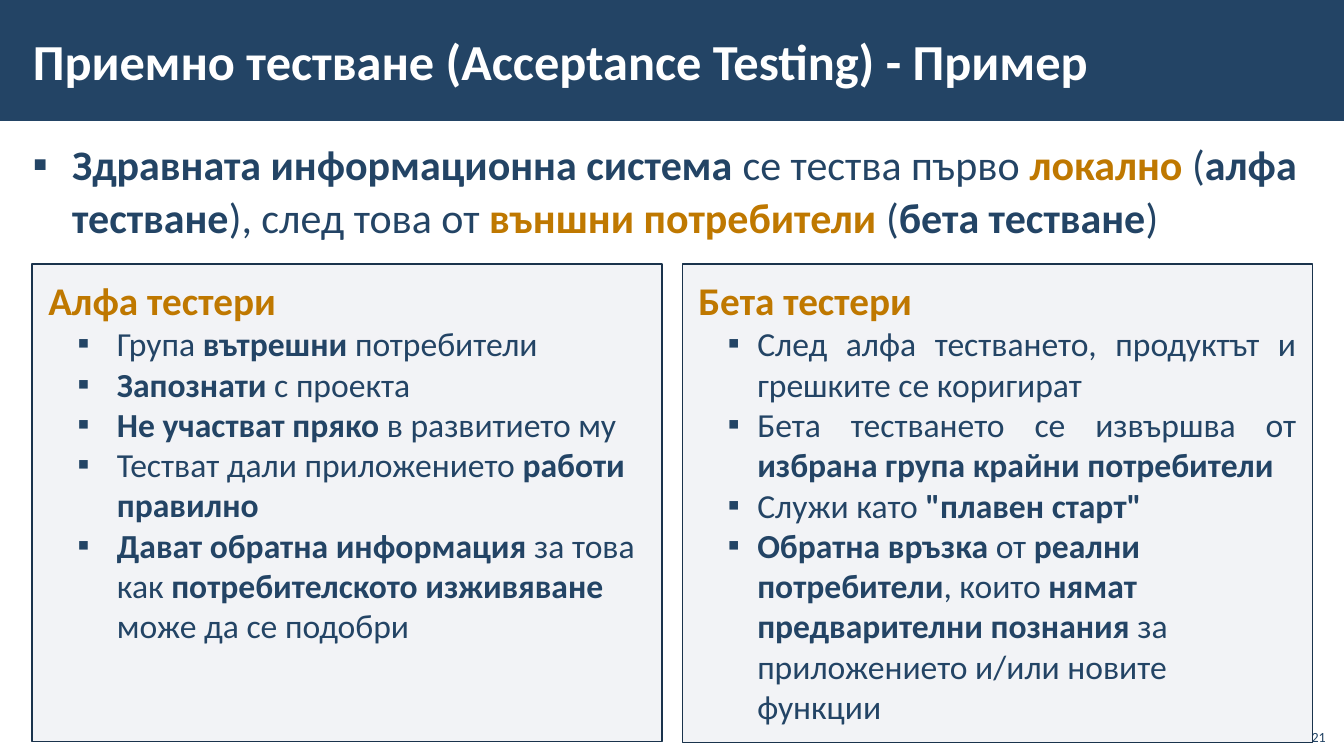
from dataclasses import dataclass

from lxml import etree
from pptx import Presentation
from pptx.dml.color import RGBColor
from pptx.enum import shapes, text
from pptx.oxml import ns
from pptx.util import Pt

COLORS = {
    "navy": "234465",
    "gold": "BF7800",
    "white": "FFFFFF",
    "panel": "ADB4C3",
    "edge": "1A334C",
}
FONT = "Calibri"
# Style marks: "*" toggles bold, "_" toggles bold gold.
MARKS = {"*": "navy", "_": "gold"}


@dataclass
class Panel:
    left: float
    height: float
    head: str
    items: list[str]
    indent: float
    hang: float
    level: int = 0
    justified: int = 0


PANELS = [
    Panel(23, 341.3, "Алфа тестери", [
        "Група *вътрешни* потребители",
        "*Запознати *с проекта",
        "*Не участват пряко *в развитието му",
        "Тестват дали приложението *работи правилно*",
        "*Дават обратна информация *за това как "
        "*потребителското изживяване *може да се подобри",
    ], indent=49, hang=28, level=1),
    Panel(487.4, 342, "Бета тестери", [
        "След алфа тестването, продуктът и грешките се коригират",
        "Бета тестването се извършва от *избрана група крайни потребители*",
        'Служи като *"плавен старт"*',
        "*Обратна връзка *от *реални потребители*, които "
        "*нямат предварителни познания* за приложението и/или новите функции",
    ], indent=42, hang=21, justified=3),
]


def rgb(name: str) -> RGBColor:
    return RGBColor.from_string(COLORS[name])


def add_run(para, words: str, size: float, color: str, bold: bool) -> None:
    run = para.add_run()
    run.text = words
    run.font.name = FONT
    run.font.size = Pt(size)
    run.font.bold = bold
    run.font.color.rgb = rgb(color)


def write(para, marked: str, size: float) -> None:
    """Split marked text into plain, bold and gold runs."""
    mark, words = "", ""
    for char in marked:
        if char not in MARKS:
            words += char
            continue
        if words:
            add_run(para, words, size, MARKS.get(mark, "navy"), bool(mark))
        mark, words = ("" if mark else char), ""
    if words:
        add_run(para, words, size, MARKS.get(mark, "navy"), bool(mark))


def bullet(para, indent: float, hang: float) -> None:
    props = para._p.get_or_add_pPr()
    props.set("marL", str(Pt(indent)))
    props.set("indent", str(-Pt(hang)))
    color = etree.SubElement(props, ns.qn("a:buClr"))
    etree.SubElement(color, ns.qn("a:srgbClr"), val=COLORS["navy"])
    etree.SubElement(props, ns.qn("a:buFont"), typeface=FONT)
    etree.SubElement(props, ns.qn("a:buChar"), char="▪")


def set_frame(shape, side: float, top: float, anchor):
    frame = shape.text_frame
    frame.word_wrap = True
    frame.vertical_anchor = anchor
    frame.margin_left = frame.margin_right = Pt(side)
    frame.margin_top = frame.margin_bottom = Pt(top)
    return frame


def add_text(slide, box: tuple, side: float = 8.5, top: float = 3,
             anchor=text.MSO_ANCHOR.TOP):
    shape = slide.shapes.add_textbox(*map(Pt, box))
    return set_frame(shape, side, top, anchor).paragraphs[0]


def add_rect(slide, box: tuple, color: str):
    rect = slide.shapes.add_shape(shapes.MSO_SHAPE.RECTANGLE, *map(Pt, box))
    rect.shadow.inherit = False
    rect.fill.solid()
    rect.fill.fore_color.rgb = rgb(color)
    rect.line.fill.background()
    return rect


def add_panel(slide, panel: Panel) -> None:
    rect = add_rect(slide, (panel.left, 188.6, 450, panel.height), "panel")
    tint = rect.fill._xPr.find(".//" + ns.qn("a:srgbClr"))
    etree.SubElement(tint, ns.qn("a:alpha"), val="15000")
    rect.line.color.rgb = rgb("edge")
    rect.line.width = Pt(1)
    frame = set_frame(rect, 11.5, 8.6, text.MSO_ANCHOR.TOP)
    head = frame.paragraphs[0]
    head.alignment = text.PP_ALIGN.LEFT
    add_run(head, panel.head, 28, "gold", True)
    for index, item in enumerate(panel.items):
        para = frame.add_paragraph()
        para.level = panel.level
        para.alignment = (text.PP_ALIGN.JUSTIFY if index < panel.justified
                          else text.PP_ALIGN.LEFT)
        bullet(para, panel.indent, panel.hang)
        write(para, item, 24)


def main() -> None:
    deck = Presentation()
    deck.slide_width, deck.slide_height = Pt(960), Pt(540)
    slide = deck.slides.add_slide(deck.slide_layouts[6])

    add_rect(slide, (0, 0, 960, 86.4), "navy")
    number = add_text(slide, (925, 512.6, 29, 23), 7.2, 3.6,
                      text.MSO_ANCHOR.BOTTOM)
    number.alignment = text.PP_ALIGN.RIGHT
    add_run(number, "21", 10, "navy", False)

    intro = add_text(slide, (15, 94.3, 930, 90))
    intro.line_spacing = 1.05
    intro.space_after = Pt(6)
    bullet(intro, 28, 28)
    write(intro, "*Здравната информационна система *се тества първо "
          "_локално _(*алфа тестване*), след това от "
          "_външни потребители _(*бета тестване*)", 30)

    title = add_text(slide, (15, 8, 808.5, 70), anchor=text.MSO_ANCHOR.MIDDLE)
    add_run(title, "Приемно тестване (Acceptance Testing) - Пример",
            36, "white", True)

    for panel in PANELS:
        add_panel(slide, panel)
    deck.save("out.pptx")


if __name__ == "__main__":
    main()
